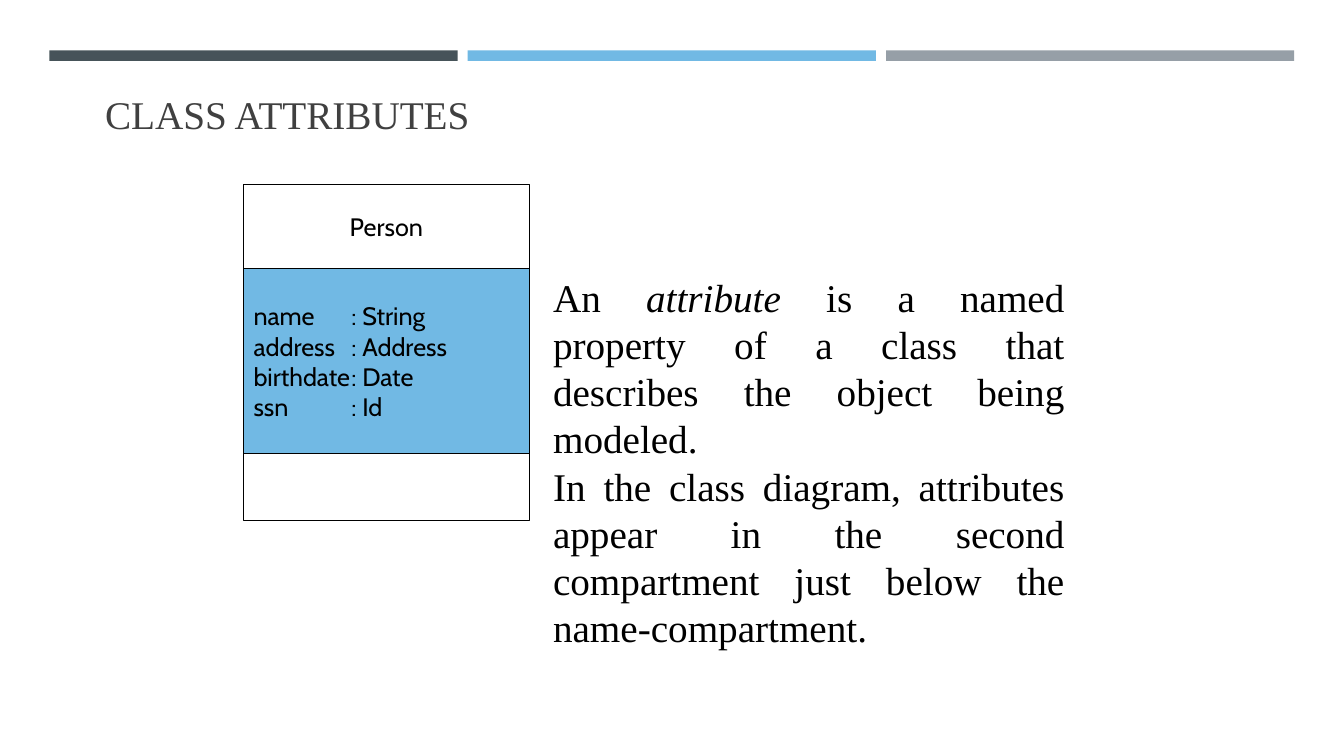
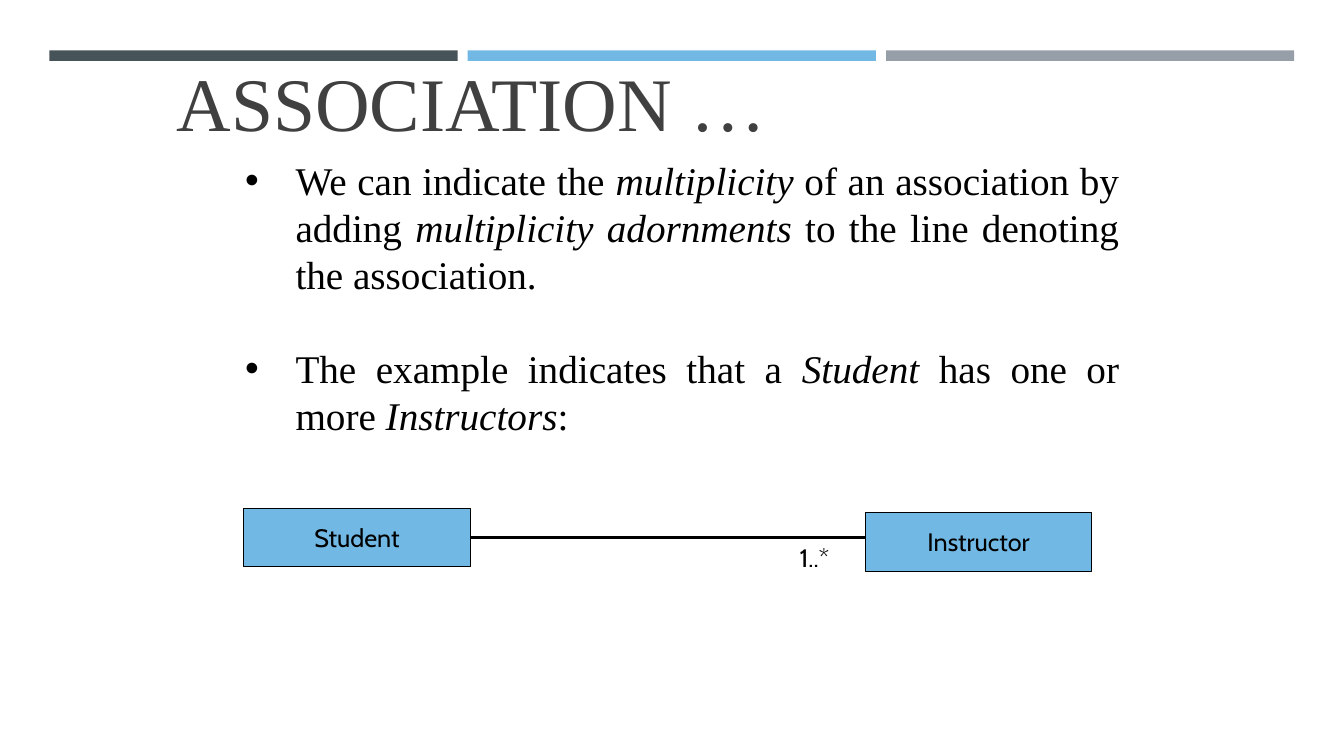
import pptx
import pptx.dml.color
import pptx.enum.shapes
import pptx.enum.text
import pptx.oxml
import pptx.oxml.ns
import pptx.util

Pt = pptx.util.Pt
ALIGN = pptx.enum.text.PP_ALIGN
ANCHOR = pptx.enum.text.MSO_ANCHOR

HUES = {"dark": "465359", "blue": "71B9E4", "gray": "969FA7",
        "title": "404040", "black": "000000", "white": "FFFFFF"}
SERIF, SANS = "Times New Roman", "Cabin"


def tint(name):
    return pptx.dml.color.RGBColor.from_string(HUES[name])


def add_el(parent, tag, **attrs):
    node = pptx.oxml.parse_xml(f"<a:{tag} {pptx.oxml.ns.nsdecls('a')}/>")
    for key, value in attrs.items():
        node.set(key, str(value))
    parent.append(node)
    return node


def write(shape, paras, size=18, font=SANS, hue="black", align=ALIGN.LEFT,
          anchor=ANCHOR.TOP, line=None, gap=0, bullet=None, hang=0, tab=None):
    """Fill a shape with paragraphs; text between asterisk pairs is italic."""
    frame = shape.text_frame
    frame.word_wrap = True
    frame.vertical_anchor = anchor
    for i, text in enumerate(paras):
        para = frame.add_paragraph() if i else frame.paragraphs[0]
        props = para._p.get_or_add_pPr()
        if bullet:
            props.set("marL", str(Pt(hang)))
            props.set("indent", str(-Pt(hang)))
            add_el(props, "buFont", typeface="Arial")
            add_el(props, "buChar", char=bullet)
        if tab:
            add_el(add_el(props, "tabLst"), "tab", pos=Pt(tab), algn="l")
        para.alignment = align
        if line:
            para.line_spacing = Pt(line)
        if i and gap:
            para.space_before = Pt(gap)
        for n, part in enumerate(text.split("**")):
            if not part:
                continue
            run = para.add_run()
            run.text = part
            run.font.size, run.font.name = Pt(size), font
            run.font.color.rgb = tint(hue)
            run.font.italic = n % 2 == 1


def label(slide, box, paras, **form):
    shape = slide.shapes.add_textbox(*map(Pt, box))
    write(shape, paras, **form)
    return shape


def block(shapes, box, fill, edge=None):
    kind = pptx.enum.shapes.MSO_SHAPE.RECTANGLE
    shape = shapes.add_shape(kind, *map(Pt, box))
    shape.shadow.inherit = False
    shape.fill.solid()
    shape.fill.fore_color.rgb = tint(fill)
    if edge:
        shape.line.color.rgb = tint(edge)
        shape.line.width = Pt(0.75)
    else:
        shape.line.fill.background()
    return shape


def base(deck, title, box, size):
    """Blank slide with the three bands and a title."""
    slide = deck.slides.add_slide(deck.slide_layouts[6])
    for i, hue in enumerate(("dark", "blue", "gray")):
        block(slide.shapes, (35.3 + 298.8 * i, 36, 291.6, 7.5), hue)
    label(slide, box, [title], size=size, font=SERIF, hue="title",
          anchor=ANCHOR.BOTTOM)
    return slide


def body(slide, box, paras, **form):
    label(slide, box, paras, size=28, font=SERIF, align=ALIGN.JUSTIFY,
          line=33.6, **form)


def model(slide, box, name, fields):
    """Class box: name, fields, and an empty third part."""
    left, top, width, height = box
    group = slide.shapes.add_group_shape()
    parts = ((0.25, "white", [name], ALIGN.CENTER),
             (0.55, "blue", fields, ALIGN.LEFT),
             (0.2, "white", [], ALIGN.LEFT))
    for share, fill, text, align in parts:
        part = block(group.shapes, (left, top, width, height * share),
                     fill, "black")
        write(part, text, align=align, anchor=ANCHOR.MIDDLE, tab=70)
        top += height * share


def link(slide, box, names, count):
    """Two boxes joined by a line, with a count at the far end."""
    left, top, width, height = box
    wide, tall, drop = 162, 42, 3
    spots = ((left, top), (left + width - wide, top + drop))
    ends = []
    for name, spot in zip(names, spots):
        end = block(slide.shapes, (*spot, wide, tall), "blue", "black")
        write(end, [name], align=ALIGN.CENTER, anchor=ANCHOR.MIDDLE)
        ends.append(end)
    mid, stop = top + tall / 2, left + width - wide
    wire = slide.shapes.add_connector(
        pptx.enum.shapes.MSO_CONNECTOR.STRAIGHT,
        Pt(left + wide), Pt(mid), Pt(stop), Pt(mid))
    wire.begin_connect(ends[0], 3)
    wire.line.color.rgb = tint("black")
    wire.line.width = Pt(2.25)
    add_el(wire._element.spPr, "effectLst")
    label(slide, (stop - 54, mid, 54, 29), [count])


def main():
    deck = pptx.Presentation()
    deck.slide_width, deck.slide_height = Pt(960), Pt(540)

    # Class attributes
    slide = base(deck, "CLASS ATTRIBUTES", (68, 60, 824, 41.5), 28)
    model(slide, (174, 132, 204, 240), "Person",
          ["name\t: String", "address\t: Address",
           "birthdate\t: Date", "ssn\t: Id"])
    body(slide, (388, 192, 379.5, 279), [
        "An **attribute** is a named property of a class that describes "
        "the object being modeled.",
        "In the class diagram, attributes appear in the second compartment "
        "just below the name-compartment."])

    # Association
    slide = base(deck, "ASSOCIATION …", (119, 66, 642, 42), 54)
    body(slide, (168, 108, 638.5, 211), [
        "We can indicate the **multiplicity** of an association by adding "
        "**multiplicity adornments** to the line denoting the association.",
        "The example indicates that a **Student** has one or more "
        "**Instructors**:"], bullet="•", hang=36, gap=33.6)
    link(slide, (174, 363, 606, 45), ("Student", "Instructor"), "1..*")

    deck.save("out.pptx")


if __name__ == "__main__":
    main()
